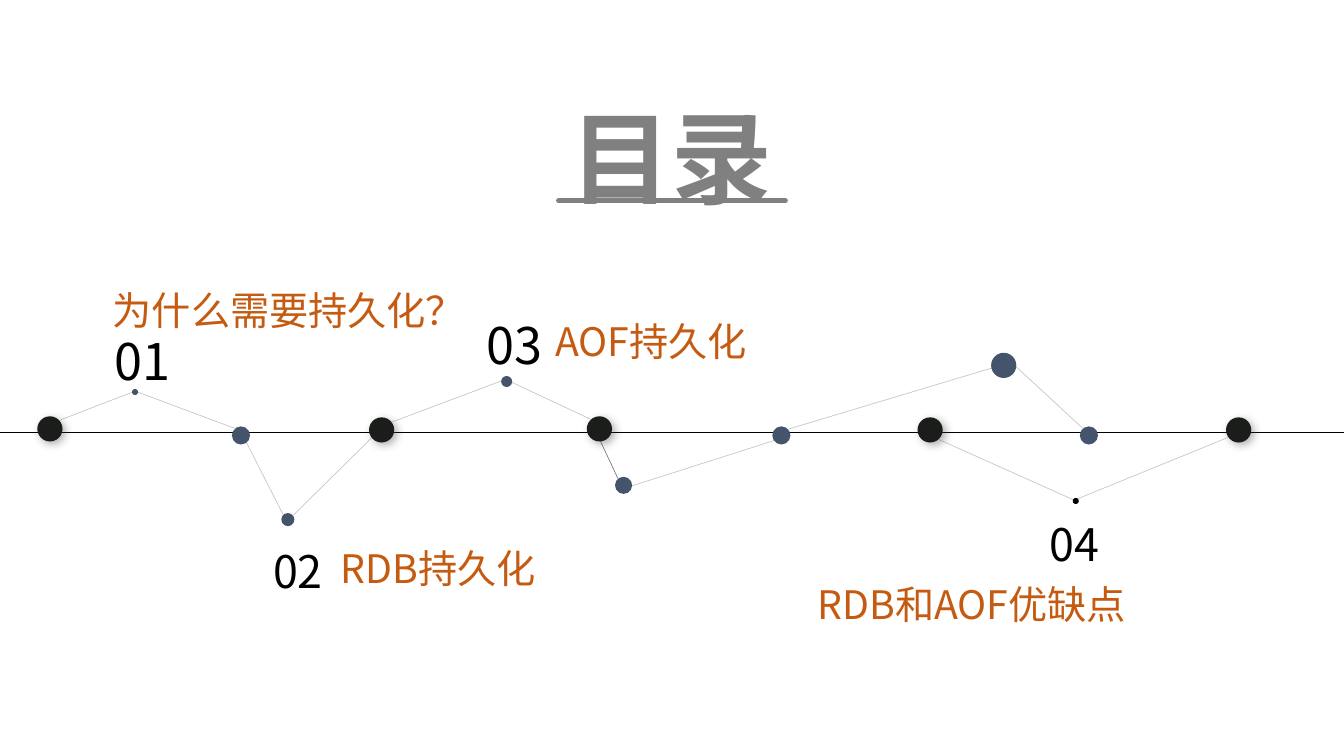
from lxml.etree import SubElement
from pptx import Presentation
from pptx.dml.color import RGBColor
from pptx.enum.shapes import MSO_CONNECTOR as CONN, MSO_SHAPE as SHAPE
from pptx.enum.text import MSO_ANCHOR as ANCHOR, MSO_AUTO_SIZE as FIT, PP_ALIGN as ALIGN
from pptx.oxml.ns import qn
from pptx.util import Emu, Pt

PX = 9144  # EMU in one px, at 100 px to the inch
FONT = "Noto Sans CJK SC"
COLORS = {"black": "000000", "node": "1A1D1A", "slate": "44546A",
          "grey": "808080", "orange": "C55A11", "shadow": "404040"}

# left, top from the axis, diameter, colour
DOTS = [(37, -16, 25, "node"), (366, -15, 25, "node"), (582, -16, 25, "node"),
        (910, -15, 25, "node"), (1216, -15, 25, "node"),
        (230, -6, 18, "slate"), (766, -6, 18, "slate"), (1071, -6, 18, "slate"),
        (279, 80, 13, "slate"), (497, -56, 11, "slate"), (610, 44, 17, "slate"),
        (983, -79, 25, "slate"), (131, -43, 6, "slate"), (1064, 65, 6, "black")]
# x and height from the axis at both ends, opacity in percent
LINKS = [(59, -12, 134, -41, 21), (134, -41, 233, -4, 21), (244, 9, 281, 82, 21),
         (290, 83, 369, 5, 21), (388, -10, 497, -51, 21), (586, -13, 507, -50, 21),
         (591, -1, 613, 46, 51), (768, 8, 627, 53, 21), (984, -64, 781, -3, 21),
         (1074, -4, 1008, -65, 21), (1065, 67, 931, 7, 21), (1218, 5, 1066, 67, 21)]
# number, its left, top, height and size; label, its left, top and width
ENTRIES = [("01", 45, -106, 71, 36, "为什么需要持久化？", 102, -150, 384),
           ("02", 199, 105, 64, 32, "RDB持久化", 328, 106, 362),
           ("03", 414, -122, 71, 36, "AOF持久化", 541, -119, 362),
           ("04", 969, 79, 64, 32, "RDB和AOF优缺点", 801, 142, 389)]


def px(*values):
    return [Emu(v * PX) for v in values]


def rgb(name):
    return RGBColor.from_string(COLORS[name])


def write(shape, text, size, color, align=ALIGN.LEFT, bold=False):
    tf = shape.text_frame
    tf.word_wrap = True
    tf.auto_size = FIT.SHAPE_TO_FIT_TEXT
    p = tf.paragraphs[0]
    p.alignment = align
    r = p.add_run()
    r.text = text
    r.font.size, r.font.bold, r.font.name = Pt(size), bold, FONT
    r.font.color.rgb = rgb(color)
    SubElement(r.font._element, qn("a:ea"), typeface=FONT)
    return p


def add_line(s, x1, y1, x2, y2, color, width, opacity=100, cap="flat"):
    line = s.shapes.add_connector(CONN.STRAIGHT, *px(x1, y1, x2, y2))
    line.line.width = Pt(width)
    line.line.color.rgb = rgb(color)
    sp_pr = line._element.spPr
    ln = sp_pr.find(qn("a:ln"))
    ln.set("cap", cap)
    if opacity < 100:
        SubElement(ln.find(".//" + qn("a:srgbClr")), qn("a:alpha"), val=str(opacity * 1000))
    SubElement(sp_pr, qn("a:effectLst"))


def add_dot(s, x, y, d, color):
    dot = s.shapes.add_shape(SHAPE.OVAL, *px(x, y, d, d))
    dot.shadow.inherit = False
    dot.fill.solid()
    dot.fill.fore_color.rgb = rgb(color)
    dot.line.fill.background()
    if color == "node":
        effects = dot._element.spPr.find(qn("a:effectLst"))
        shadow = SubElement(effects, qn("a:outerShdw"), blurRad=str(Pt(6)), dist=str(Pt(3)),
                            dir=str(45 * 60000), algn="tl", rotWithShape="0")
        clr = SubElement(shadow, qn("a:srgbClr"), val=COLORS["shadow"])
        SubElement(clr, qn("a:alpha"), val="40000")


def add_title(s, x, y, w, h):
    title = s.shapes.title
    title.left, title.top, title.width, title.height = px(x, y, w, h)
    title.text_frame.vertical_anchor = ANCHOR.MIDDLE
    write(title, "目录", 72, "grey", ALIGN.CENTER, True).line_spacing = 1.5
    add_line(s, x + 134, y + 159, x + 359, y + 159, "grey", 3.5, cap="rnd")


def add_timeline(s, left, axis, width):
    add_line(s, left, axis, left + width, axis, "black", 0.75)
    for x1, y1, x2, y2, opacity in LINKS:
        add_line(s, left + x1, axis + y1, left + x2, axis + y2, "black", 0.5, opacity)
    for x, y, d, color in DOTS:
        add_dot(s, left + x, axis + y, d, color)
    for number, nx, ny, nh, size, label, lx, ly, lw in ENTRIES:
        box = s.shapes.add_textbox(*px(left + nx, axis + ny, 193, nh))
        write(box, number, size, "black", ALIGN.CENTER)
        box = s.shapes.add_textbox(*px(left + lx, axis + ly, lw, 57))
        write(box, label, 28, "orange")


def main():
    prs = Presentation()
    prs.slide_width, prs.slide_height = px(1333, 750)
    s = prs.slides.add_slide(prs.slide_layouts[5])
    add_title(s, 420, 40, 492, 170)
    add_timeline(s, 0, 429, 1333)
    prs.save("out.pptx")


if __name__ == "__main__":
    main()
